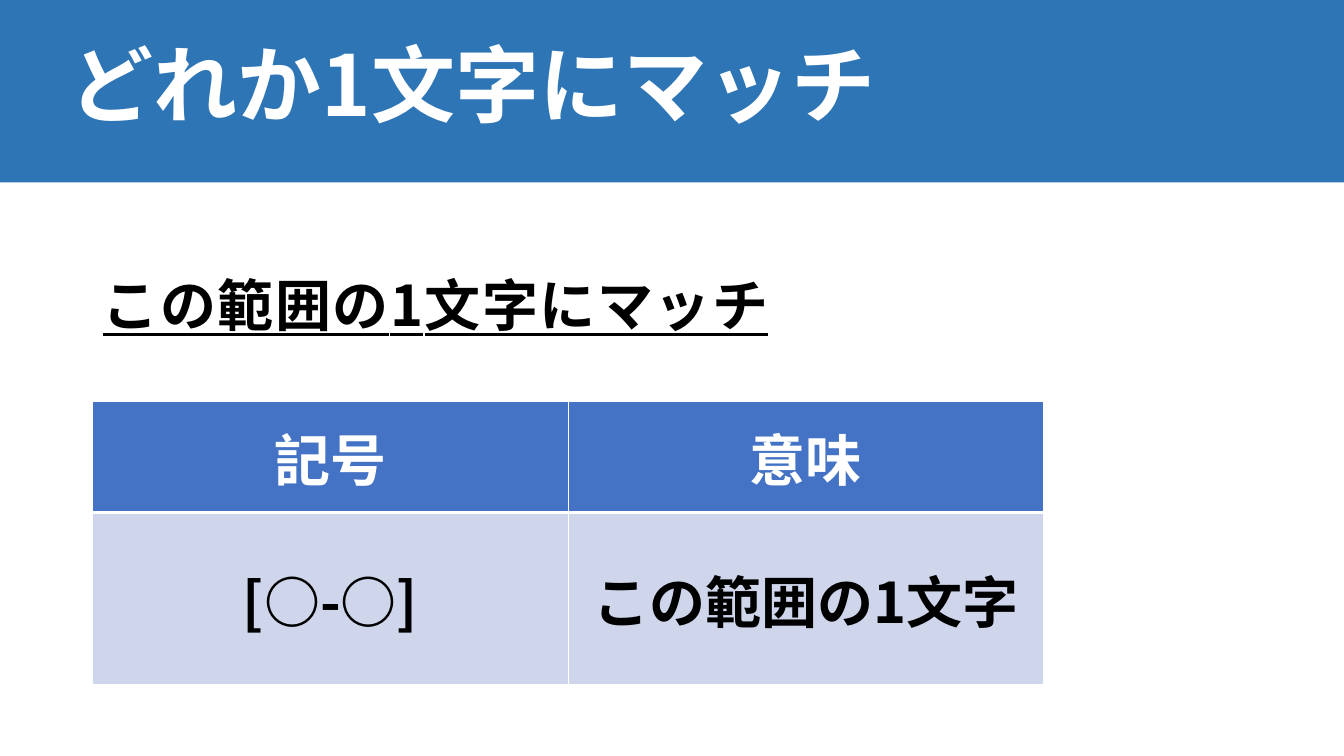
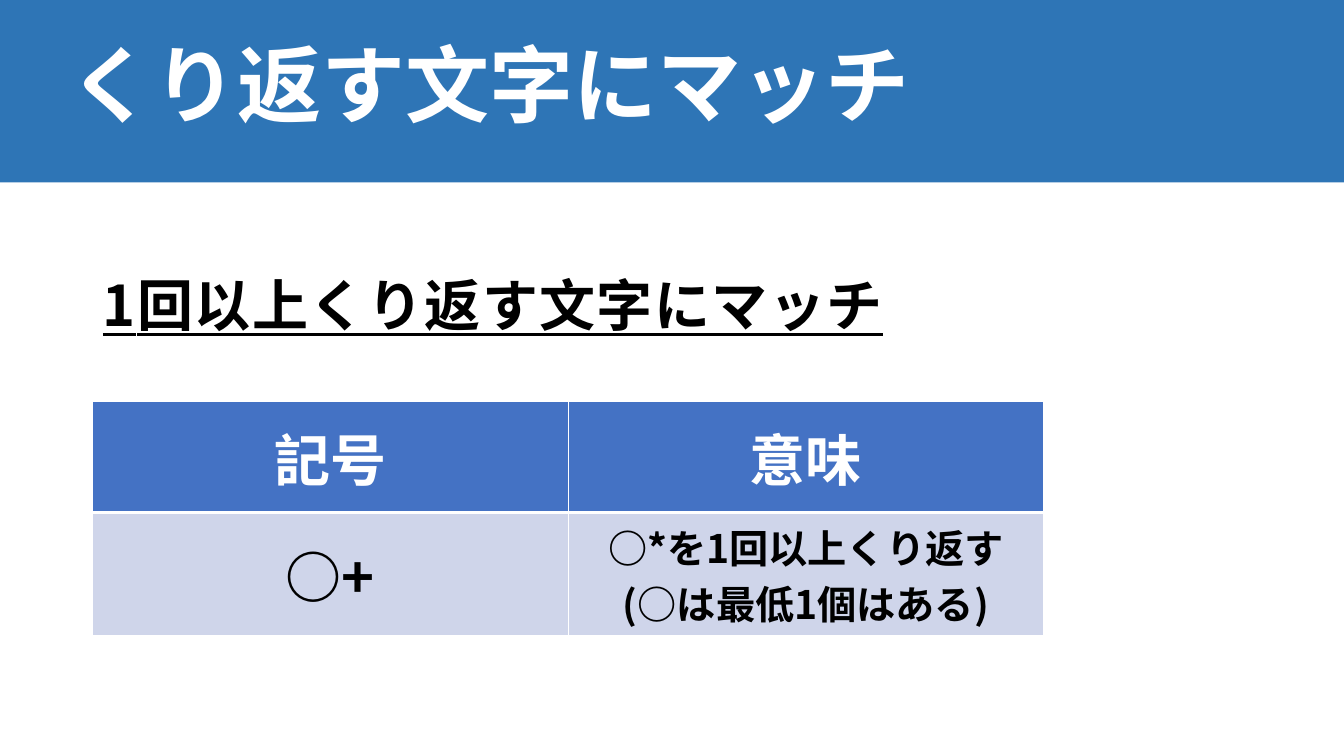
from dataclasses import dataclass

from lxml import etree
from pptx import Presentation
from pptx import util as u
from pptx.dml.color import RGBColor
from pptx.enum import shapes, text
from pptx.oxml.ns import qn


@dataclass(frozen=True)
class Theme:
    font: str = "Noto Sans CJK JP"
    band: str = "2E75B6"
    header: str = "4472C4"
    row: str = "CFD5EA"
    light: str = "FFFFFF"
    dark: str = "000000"
    title: int = 60
    body: int = 40
    small: int = 28


T = Theme()
WIDTH, HEIGHT = u.Inches(13.33), u.Inches(7.5)

# Boxes in percent of the slide: left, top, width, height
BAND = (0, 0, 100, 24.13)
TITLE = (4.43, 2.13, 86.25, 19.33)
LEAD = (6.9, 30.67, 86.25, 63.47)
TABLE = (6.9, 53.07, 70.75, 29.47)

HEADINGS = ("記号", "意味")
SLIDES = [
    ("どれか1文字にマッチ", "この範囲の1文字にマッチ",
     ("[○-○]", "この範囲の1文字"), T.body),
    ("くり返す文字にマッチ", "1回以上くり返す文字にマッチ",
     ("○+", "○*を1回以上くり返す\n(○は最低1個はある)"), T.small),
]


def place(box):
    x, y, w, h = box
    return [round(n) for n in (WIDTH * x / 100, HEIGHT * y / 100,
                               WIDTH * w / 100, HEIGHT * h / 100)]


def write(tf, words, size, color, align=text.PP_ALIGN.LEFT, spacing=1.0,
          underline=False, tracking=0):
    """Write one paragraph; a newline in the words becomes a line break."""
    p = tf.paragraphs[0]
    pPr = p._p.get_or_add_pPr()
    pPr.set("marL", "0")
    pPr.set("indent", "0")
    etree.SubElement(pPr, qn("a:buNone"))
    p.alignment, p.line_spacing, p.space_before = align, spacing, u.Pt(0)
    for i, line in enumerate(words.split("\n")):
        if i:
            p.add_line_break()
        r = p.add_run()
        r.text = line
        f = r.font
        f.name, f.size, f.bold = T.font, u.Pt(size), True
        f.color.rgb = RGBColor.from_string(color)
        rPr = r._r.get_or_add_rPr()
        etree.SubElement(rPr, qn("a:ea")).set("typeface", T.font)
        if underline:
            f.underline = True
        if tracking:
            rPr.set("spc", str(round(tracking * 100)))


def fill_placeholder(sp, box, words, anchor, **style):
    sp.left, sp.top, sp.width, sp.height = place(box)
    tf = sp.text_frame
    tf.word_wrap, tf.auto_size = True, text.MSO_AUTO_SIZE.NONE
    tf.vertical_anchor = anchor
    write(tf, words, **style)


def add_band(s, box):
    sp = s.shapes.add_shape(shapes.MSO_SHAPE.RECTANGLE, *place(box))
    sp.shadow.inherit = False
    sp.fill.solid()
    sp.fill.fore_color.rgb = RGBColor.from_string(T.band)
    sp.line.fill.background()
    s.shapes._spTree.insert(2, sp._element)  # behind the title


def add_borders(cell, **widths):
    tcPr = cell._tc.get_or_add_tcPr()
    for i, side in enumerate("LRTB"):
        ln = etree.Element(qn(f"a:ln{side}"), w=str(u.Pt(widths.get(side, 1))))
        solid = etree.SubElement(ln, qn("a:solidFill"))
        etree.SubElement(solid, qn("a:srgbClr"), val=T.light)
        tcPr.insert(i, ln)


def add_symbol_table(s, box, values, meaning_size):
    table = s.shapes.add_table(2, 2, *place(box)).table
    rows = [
        (HEADINGS, (T.body, T.body), T.header, T.light, {"B": 3}),
        (values, (T.body, meaning_size), T.row, T.dark, {"T": 3}),
    ]
    for i, (words, sizes, fill, color, edges) in enumerate(rows):
        for j, (word, size) in enumerate(zip(words, sizes)):
            cell = table.cell(i, j)
            cell.vertical_anchor = text.MSO_ANCHOR.MIDDLE
            cell.fill.solid()
            cell.fill.fore_color.rgb = RGBColor.from_string(fill)
            add_borders(cell, **edges)
            write(cell.text_frame, word, size, color,
                  align=text.PP_ALIGN.CENTER)


def add_rule_slide(prs, title, lead, values, meaning_size):
    s = prs.slides.add_slide(prs.slide_layouts[1])
    add_band(s, BAND)
    fill_placeholder(s.shapes.title, TITLE, title, text.MSO_ANCHOR.MIDDLE,
                     size=T.title, color=T.light, spacing=0.9)
    fill_placeholder(s.placeholders[1], LEAD, lead, text.MSO_ANCHOR.TOP,
                     size=T.body, color=T.dark, spacing=1.5,
                     underline=True, tracking=1.1)
    add_symbol_table(s, TABLE, values, meaning_size)


def main():
    prs = Presentation()
    prs.slide_width, prs.slide_height = WIDTH, HEIGHT
    for content in SLIDES:
        add_rule_slide(prs, *content)
    prs.save("out.pptx")


if __name__ == "__main__":
    main()
